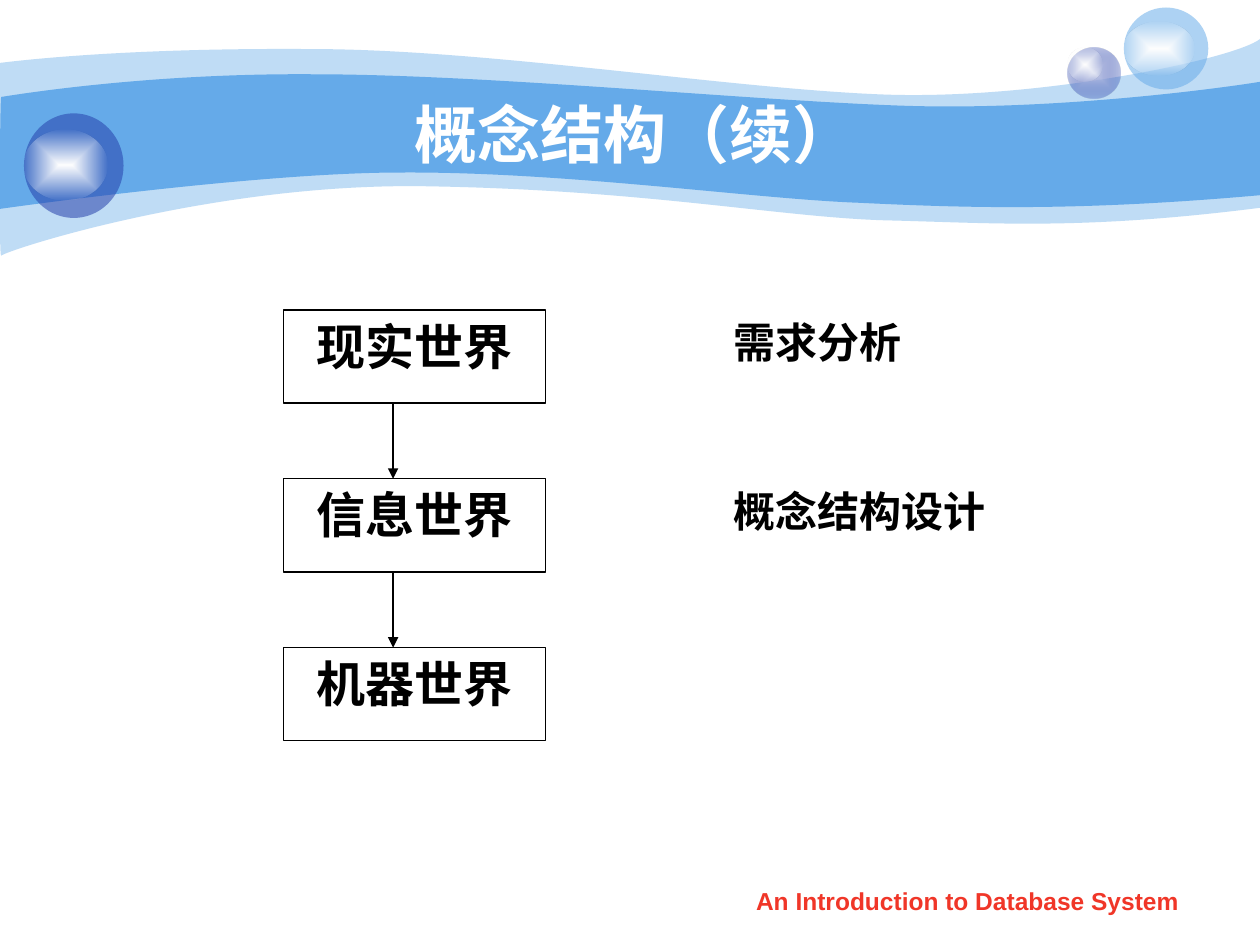
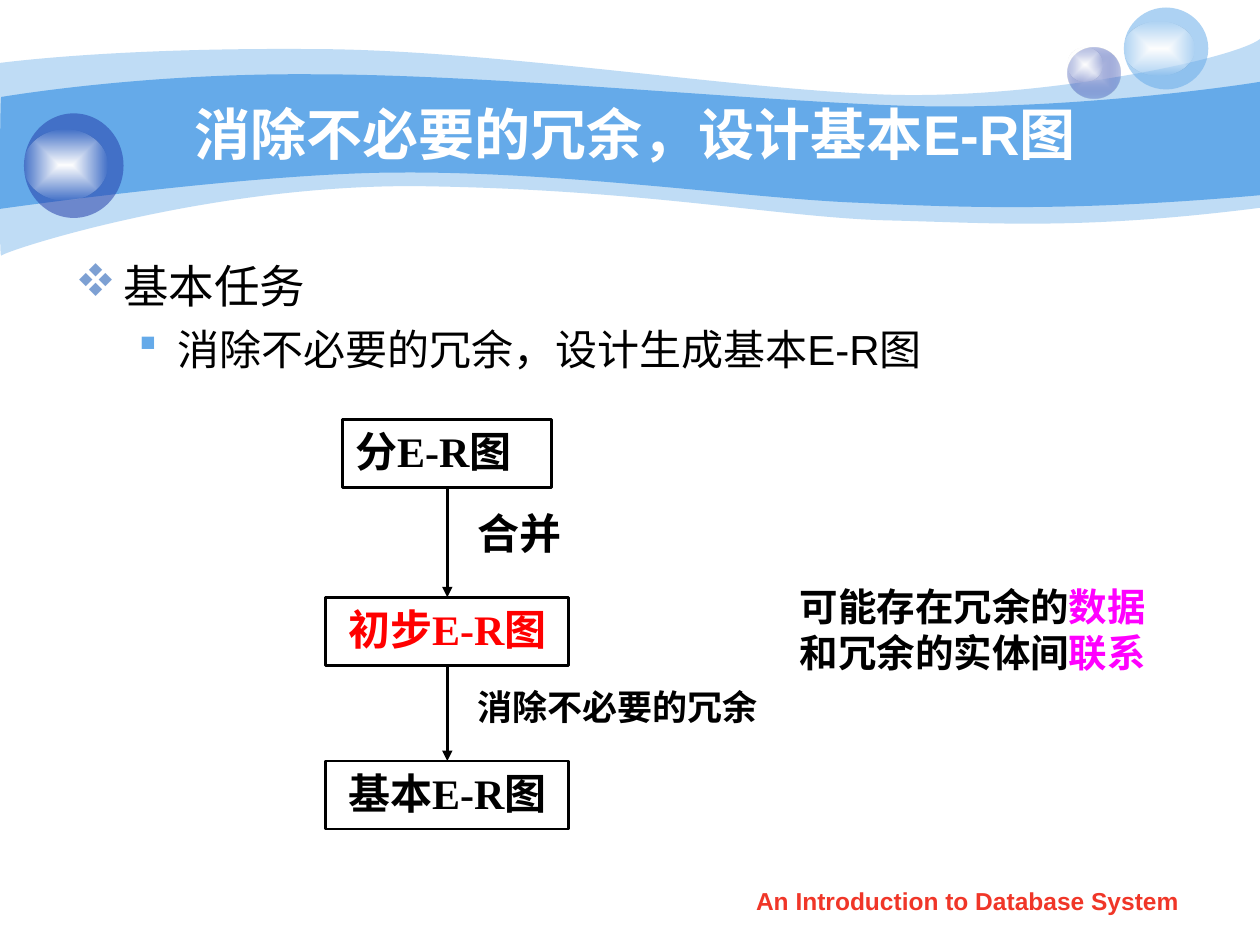
import pptx
import pptx.dml.color
import pptx.enum.shapes
import pptx.enum.text
import pptx.oxml
import pptx.oxml.ns
import pptx.util
from pptx.util import Inches

RGB = pptx.dml.color.RGBColor
SKY = RGB(0x65, 0xAA, 0xE9)
NAVY = RGB(0x23, 0x3D, 0xA9)
LAVENDER = RGB(0xC7, 0xCE, 0xE9)
BULLET_BLUE = RGB(0x7D, 0xA0, 0xD3)
WHITE = RGB(0xFF, 0xFF, 0xFF)
BLACK = RGB(0, 0, 0)
RED = RGB(0xFF, 0, 0)
FOOTER_RED = RGB(0xF0, 0x36, 0x28)
MAGENTA = RGB(0xFF, 0, 0xFF)
SANS, SERIF = "Arial", "Times New Roman"
CENTER = pptx.enum.text.PP_ALIGN.CENTER
OVAL = pptx.enum.shapes.MSO_SHAPE.OVAL
RECT = pptx.enum.shapes.MSO_SHAPE.RECTANGLE
NS = pptx.oxml.ns.nsdecls("a")

# Start point, then curves (two controls and an end) or straight steps (an end).
PALE_WAVE = [
    (0, 0.5), (0.24, 0.47, 1.08, 0.38, 2.47, 0.39),
    (3.86, 0.39, 5.75, 0.7, 6.99, 0.75), (8.22, 0.8, 9.8, 0.47, 10, 0.31),
    (10, 1.65), (8.58, 1.83, 7.88, 1.77, 7.05, 1.75),
    (6.22, 1.73, 5.15, 1.51, 3.43, 1.48), (1.72, 1.44, 0.04, 1.99, 0.01, 2.03),
    (-0.01, 2.08, 0, 0.75, 0, 0.5)]
DEEP_WAVE = [
    (0.01, 0.77), (0.02, 0.77, 1.1, 0.58, 2.48, 0.59),
    (3.87, 0.59, 5.96, 0.8, 7.18, 0.84), (8.41, 0.88, 9.76, 0.69, 10, 0.65),
    (10, 1.55), (8.53, 1.68, 7.65, 1.65, 6.82, 1.61),
    (5.99, 1.58, 4.47, 1.36, 3.17, 1.37), (2.03, 1.37, -0.02, 1.66, -0.01, 1.66),
    (0, 1.66, 0, 0.77, 0.01, 0.77)]


def add_text(p, text, size=24, color=BLACK, bold=True, font=SERIF, align=None):
    """Add text, or a list of (text, color) runs, to a paragraph."""
    p.alignment = align
    runs = [(text, color)] if isinstance(text, str) else text
    for words, run_color in runs:
        r = p.add_run()
        r.text = words
        r.font.size = pptx.util.Pt(size)
        r.font.bold = bold
        r.font.name = font
        r.font.color.rgb = run_color


def add_label(s, box, *lines, **fmt):
    tb = s.shapes.add_textbox(*map(Inches, box))
    tf = tb.text_frame
    tf.word_wrap = True
    for i, line in enumerate(lines):
        add_text(tf.add_paragraph() if i else tf.paragraphs[0], line, **fmt)
    return tb


def add_box(s, box, text, weight, **fmt):
    sp = s.shapes.add_shape(RECT, *map(Inches, box))
    sp.shadow.inherit = False
    sp.fill.background()
    sp.line.color.rgb = BLACK
    sp.line.width = pptx.util.Pt(weight)
    sp.text_frame.word_wrap = False
    sp.text_frame.vertical_anchor = pptx.enum.text.MSO_ANCHOR.TOP
    add_text(sp.text_frame.paragraphs[0], text, **fmt)


def add_down_arrow(s, x, top, bottom, weight):
    line = s.shapes.add_connector(
        pptx.enum.shapes.MSO_CONNECTOR.STRAIGHT,
        Inches(x), Inches(top), Inches(x), Inches(bottom))
    line.line.color.rgb = BLACK
    line.line.width = pptx.util.Pt(weight)
    line.line._get_or_add_ln().append(
        pptx.oxml.parse_xml(f'<a:tailEnd {NS} type="triangle"/>'))
    line._element.spPr.append(pptx.oxml.parse_xml(f"<a:effectLst {NS}/>"))


def fill_plain(sp, color, alpha=100):
    sp.shadow.inherit = False
    sp.line.fill.background()
    sp.fill.solid()
    sp.fill.fore_color.rgb = color
    if alpha < 100:
        clr = sp._element.spPr.find(".//" + pptx.oxml.ns.qn("a:srgbClr"))
        clr.append(pptx.oxml.parse_xml(f'<a:alpha {NS} val="{alpha * 1000}"/>'))


def fill_glow(sp, inner, outer, alpha):
    """Fill from an opaque centre to an outer colour of the given opacity."""
    fill_plain(sp, inner)
    solid = sp._element.spPr.find(pptx.oxml.ns.qn("a:solidFill"))
    grad = pptx.oxml.parse_xml(
        f'<a:gradFill {NS} rotWithShape="1"><a:gsLst>'
        f'<a:gs pos="0"><a:srgbClr val="{inner}"/></a:gs>'
        f'<a:gs pos="100000"><a:srgbClr val="{outer}">'
        f'<a:alpha val="{alpha * 1000}"/></a:srgbClr></a:gs></a:gsLst>'
        '<a:path path="rect"><a:fillToRect l="50000" t="50000" r="50000" b="50000"/>'
        '</a:path></a:gradFill>')
    solid.getparent().replace(solid, grad)


def add_wave(s, outline, alpha):
    """Build the outline through all its points, then bend each curve's three."""
    start, *steps = outline
    builder = s.shapes.build_freeform(*map(Inches, start))
    for step in steps:
        builder.add_line_segments(
            [(Inches(x), Inches(y)) for x, y in zip(step[::2], step[1::2])],
            close=step is steps[-1])
    sp = builder.convert_to_shape()
    segments = iter(list(sp._element.spPr.iter(pptx.oxml.ns.qn("a:lnTo"))))
    for step in steps:
        lines = [next(segments) for _ in step[::2]]
        if len(lines) == 3:
            curve = pptx.oxml.parse_xml(f"<a:cubicBezTo {NS}/>")
            lines[0].addprevious(curve)
            for line in lines:
                curve.append(line[0])
                line.getparent().remove(line)
    fill_plain(sp, SKY, alpha)
    return sp


def add_bubble(s, box, glint_box):
    ball = s.shapes.add_shape(OVAL, *map(Inches, box))
    glint = s.shapes.add_shape(OVAL, *map(Inches, glint_box))
    fill_glow(glint, WHITE, WHITE, 0)
    return ball, glint


def decorate_layout(layout, s):
    """Draw the waves and bubbles on a slide, then move them to its layout."""
    art = [add_wave(s, PALE_WAVE, 41), add_wave(s, DEEP_WAVE, 100)]
    small = add_bubble(s, (8.47, 0.38, 0.42, 0.4), (8.47, 0.38, 0.28, 0.27))
    fill_glow(small[0], LAVENDER, NAVY, 31)
    light = add_bubble(s, (8.92, 0.06, 0.67, 0.65), (8.92, 0.17, 0.56, 0.43))
    fill_plain(light[0], SKY, 53)
    dark = add_bubble(s, (0.19, 0.9, 0.79, 0.83), (0.19, 1.03, 0.66, 0.56))
    fill_plain(dark[0], NAVY, 53)
    art += [*small, *light, *dark]
    for number, sp in enumerate(art, 101):
        sp._element.nvSpPr.cNvPr.set("id", str(number))
        layout.shapes._spTree.append(sp._element)


def add_title_and_footer(s, title, size):
    sp = s.shapes.title
    sp.left, sp.top, sp.width, sp.height = map(Inches, (1, 0.75, 8.08, 0.62))
    tf = sp.text_frame
    tf.word_wrap = True
    tf.auto_size = pptx.enum.text.MSO_AUTO_SIZE.NONE
    tf.vertical_anchor = pptx.enum.text.MSO_ANCHOR.MIDDLE
    add_text(tf.paragraphs[0], title, size=size, color=WHITE, font=SANS, align=CENTER)
    add_label(s, (5.71, 6.98, 3.94, 0.35), "An Introduction to Database System",
              size=14, color=FOOTER_RED, font=SANS, align=CENTER)


def add_worlds(s, left, top):
    """Stack the three worlds, with the design stage beside the first two."""
    height, pitch = 0.74, 1.34
    for i, world in enumerate(["现实世界", "信息世界", "机器世界"]):
        y = top + i * pitch
        add_box(s, (left, y, 2.08, height), world, 0.75, size=28, align=CENTER)
        if i:
            add_down_arrow(s, left + 0.87, y - pitch + height, y, 0.75)
    for i, (stage, width) in enumerate([("需求分析", 1.91), ("概念结构设计", 2.95)]):
        add_label(s, (left + 3.47, top + i * pitch, width, 0.59), stage)


def add_bullets(s, box):
    tb = add_label(s, box, "基本任务", size=26, bold=False, font=SANS)
    p = tb.text_frame.add_paragraph()
    p.space_before = pptx.util.Pt(6)
    add_text(p, "消除不必要的冗余，设计生成基本E-R图", bold=False, font=SANS)
    # Wingdings draws these two characters as a diamond and a small square.
    bullets = [("v", BULLET_BLUE, 0.38, 0.38), ("§", SKY, 0.81, 0.31)]
    for p, (char, color, margin, hang) in zip(tb.text_frame.paragraphs, bullets):
        pPr = p._p.get_or_add_pPr()
        pPr.set("marL", str(Inches(margin)))
        pPr.set("indent", str(-Inches(hang)))
        for xml in (f'<a:buClr {NS}><a:srgbClr val="{color}"/></a:buClr>',
                    f'<a:buFont {NS} typeface="Wingdings" charset="2"/>',
                    f'<a:buChar {NS} char="{char}"/>'):
            pPr.append(pptx.oxml.parse_xml(xml))


def add_er_flow(s, axis, top):
    """Stack the E-R diagrams on a vertical axis, with the steps between them."""
    height = 0.54
    diagrams = [("分E-R图", 0, 1.66, BLACK, None),
                ("初步E-R图", 1.41, 1.93, RED, CENTER),
                ("基本E-R图", 2.71, 1.93, BLACK, CENTER)]
    for text, y, width, color, align in diagrams:
        add_box(s, (axis - width / 2, top + y, width, height), text, 1.5,
                color=color, align=align)
    for (_, above, *_), (_, below, *_) in zip(diagrams, diagrams[1:]):
        add_down_arrow(s, axis, top + above + height, top + below, 1.5)
    add_label(s, (axis + 0.14, top + 0.65, 1.24, 0.43), "合并")
    add_label(s, (axis + 0.14, top + 2.06, 3.03, 0.54), "消除不必要的冗余", size=20)
    add_label(s, (axis + 2.7, top + 1.25, 3.25, 0.83),
              [("可能存在冗余的", BLACK), ("数据", MAGENTA)],
              [("和冗余的实体间", BLACK), ("联系", MAGENTA)], size=22)


def main():
    prs = pptx.Presentation()
    prs.slide_width, prs.slide_height = Inches(10), Inches(7.5)
    layout = prs.slide_layouts[5]

    s = prs.slides.add_slide(layout)
    decorate_layout(layout, s)
    add_title_and_footer(s, "概念结构（续）", 36)
    add_worlds(s, 2.25, 2.46)

    s = prs.slides.add_slide(layout)
    add_title_and_footer(s, "消除不必要的冗余，设计基本E-R图", 32)
    add_bullets(s, (0.5, 2, 9, 1.2))
    add_er_flow(s, 3.55, 3.33)

    prs.save("out.pptx")


if __name__ == "__main__":
    main()
